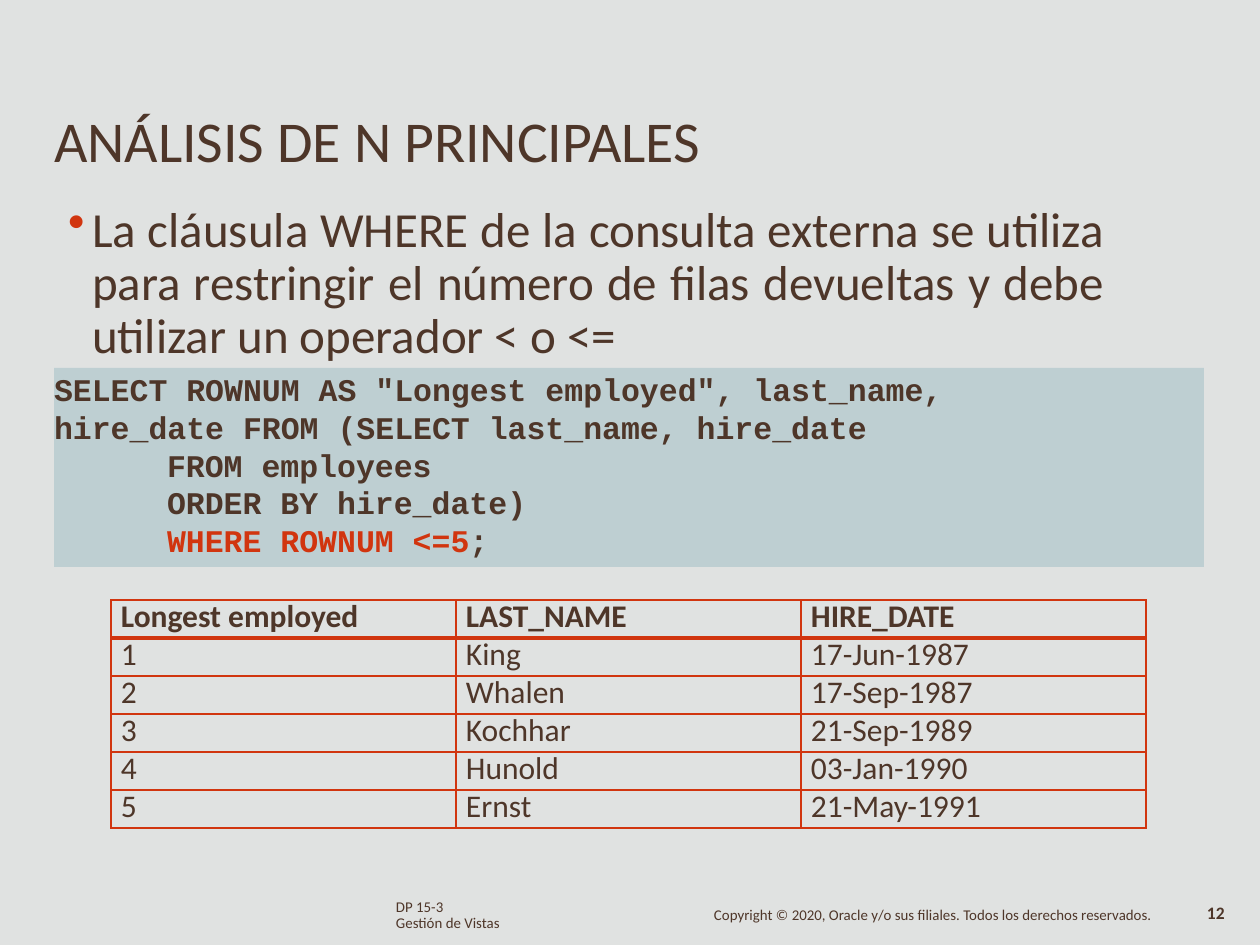
from lxml.etree import SubElement as Sub
from pptx import Presentation
from pptx.dml.color import RGBColor as RGB
from pptx.enum.shapes import MSO_SHAPE as Shape
from pptx.enum.text import MSO_ANCHOR as Anchor, PP_ALIGN as Align
from pptx.oxml import parse_xml
from pptx.oxml.ns import nsdecls, qn
from pptx.util import Emu, Pt

COLORS = {"paper": "E0E2E1", "ink": "4E3629", "accent": "D1350F", "code": "9DBEC4"}


def px(length):
    return Emu(round(length * 914400 / 126))


class Deck:
    """Holds the style and the current slide, and draws each kind of element."""

    def __init__(self, width, height):
        self.prs = Presentation()
        self.prs.slide_width, self.prs.slide_height = px(width), px(height)
        self.slide = self.prs.slides.add_slide(self.prs.slide_layouts[6])
        background = self.slide.background.fill
        background.solid()
        background.fore_color.rgb = RGB.from_string(COLORS["paper"])

    def add_runs(self, paragraph, runs, size, leading=None, align=Align.LEFT, **style):
        paragraph.alignment = align
        if leading:
            paragraph.line_spacing = Pt(leading)
        for words, color in runs:
            run = paragraph.add_run()
            run.text = words
            run.font.color.rgb = RGB.from_string(COLORS[color])
            for name, value in {"name": "Calibri", "size": Pt(size), **style}.items():
                setattr(run.font, name, value)

    def frame(self, shape, top_inset=0):
        frame = shape.text_frame
        insets = {"margin_left": 0, "margin_right": 0, "margin_bottom": 0, "margin_top": px(top_inset)}
        for name, value in {**insets, "word_wrap": True, "vertical_anchor": Anchor.TOP}.items():
            setattr(frame, name, value)
        return frame

    def indent(self, paragraph, left, first=0):
        props = paragraph._p.get_or_add_pPr()
        props.set("marL", str(px(left)))
        props.set("indent", str(px(first)))
        return props

    def text(self, box, lines, size, top_inset=0, **style):
        frame = self.frame(self.slide.shapes.add_textbox(*map(px, box)), top_inset)
        for index, line in enumerate(lines):
            paragraph = frame.add_paragraph() if index else frame.paragraphs[0]
            self.add_runs(paragraph, [(line, "ink")], size, **style)
        return frame.paragraphs[0]

    def bullet(self, box, line, size, **style):
        paragraph = self.text(box, [line], size, **style)
        props = self.indent(paragraph, 25, -24)
        color = Sub(Sub(props, qn("a:buClr")), qn("a:srgbClr"))
        color.set("val", COLORS["accent"])
        Sub(props, qn("a:buChar")).set("char", "•")

    def code(self, box, lines, size):
        panel = self.slide.shapes.add_shape(Shape.RECTANGLE, *map(px, box))
        panel.shadow.inherit = False
        panel.line.fill.background()
        panel.fill.solid()
        panel.fill.fore_color.rgb = RGB.from_string(COLORS["code"])
        tint = panel._element.spPr.find(qn("a:solidFill"))[0]
        Sub(tint, qn("a:alpha")).set("val", "50000")
        frame = self.frame(panel, 2)
        for index, (left, runs) in enumerate(lines):
            paragraph = frame.add_paragraph() if index else frame.paragraphs[0]
            self.indent(paragraph, left)
            self.add_runs(paragraph, runs, size, name="Courier New", bold=True)

    def border(self, cell, widths):
        for index, (side, width) in enumerate(zip("LRTB", widths)):
            line = parse_xml(
                f'<a:ln{side} {nsdecls("a")} w="{Pt(width)}"><a:solidFill>'
                f'<a:srgbClr val="{COLORS["accent"]}"/></a:solidFill></a:ln{side}>')
            cell._tc.get_or_add_tcPr().insert(index, line)

    def table(self, left, top, column, row, records, size):
        count, fields = len(records), len(records[0])
        area = map(px, (left, top, column * fields, row * count))
        table = self.slide.shapes.add_table(count, fields, *area).table
        table.first_row = table.horz_banding = False
        for r, record in enumerate(records):
            for c, value in enumerate(record):
                cell = table.cell(r, c)
                margins = {"margin_left": px(10), "margin_right": 0, "margin_top": 0, "margin_bottom": 0}
                for name, margin in margins.items():
                    setattr(cell, name, margin)
                cell.fill.background()
                self.border(cell, (1, 1, 2.25 if r == 1 else 1, 2.25 if r == 0 else 1))
                self.add_runs(cell.text_frame.paragraphs[0], [(value, "ink")], size, 20.4, bold=r == 0)


def main():
    deck = Deck(1260, 945)
    deck.text((54, 103, 800, 73), ["ANÁLISIS DE N PRINCIPALES"], 33, top_inset=2)
    deck.text((396, 898, 150, 34), ["DP 15-3", "Gestión de Vistas"], 8.5, leading=9.7)
    number = deck.text((1202, 905, 40, 21), ["12"], 10, leading=10.4, bold=True)
    deck.indent(number, 5)
    deck.text((714, 908, 460, 19),
              ["Copyright © 2020, Oracle y/o sus filiales. Todos los derechos reservados."],
              8.5, leading=9.1)
    deck.bullet((67, 195, 1037, 168),
                "La cláusula WHERE de la consulta externa se utiliza para restringir "
                "el número de filas devueltas y debe utilizar un operador < o <=",
                28, top_inset=9, leading=30.3, align=Align.JUSTIFY)
    deck.table(111, 600, 345, 38, [
        ("Longest employed", "LAST_NAME", "HIRE_DATE"),
        ("1", "King", "17-Jun-1987"),
        ("2", "Whalen", "17-Sep-1987"),
        ("3", "Kochhar", "21-Sep-1989"),
        ("4", "Hunold", "03-Jan-1990"),
        ("5", "Ernst", "21-May-1991"),
    ], 18)
    deck.code((54, 368, 1150, 199), [
        (0, [('SELECT ROWNUM AS "Longest employed", last_name,', "ink")]),
        (0, [("hire_date FROM (SELECT last_name, hire_date", "ink")]),
        (113, [("FROM employees", "ink")]),
        (113, [("ORDER BY hire_date)", "ink")]),
        (113, [("WHERE ROWNUM <=5", "accent"), (";", "ink")]),
    ], 18)
    deck.prs.save("out.pptx")


if __name__ == "__main__":
    main()
